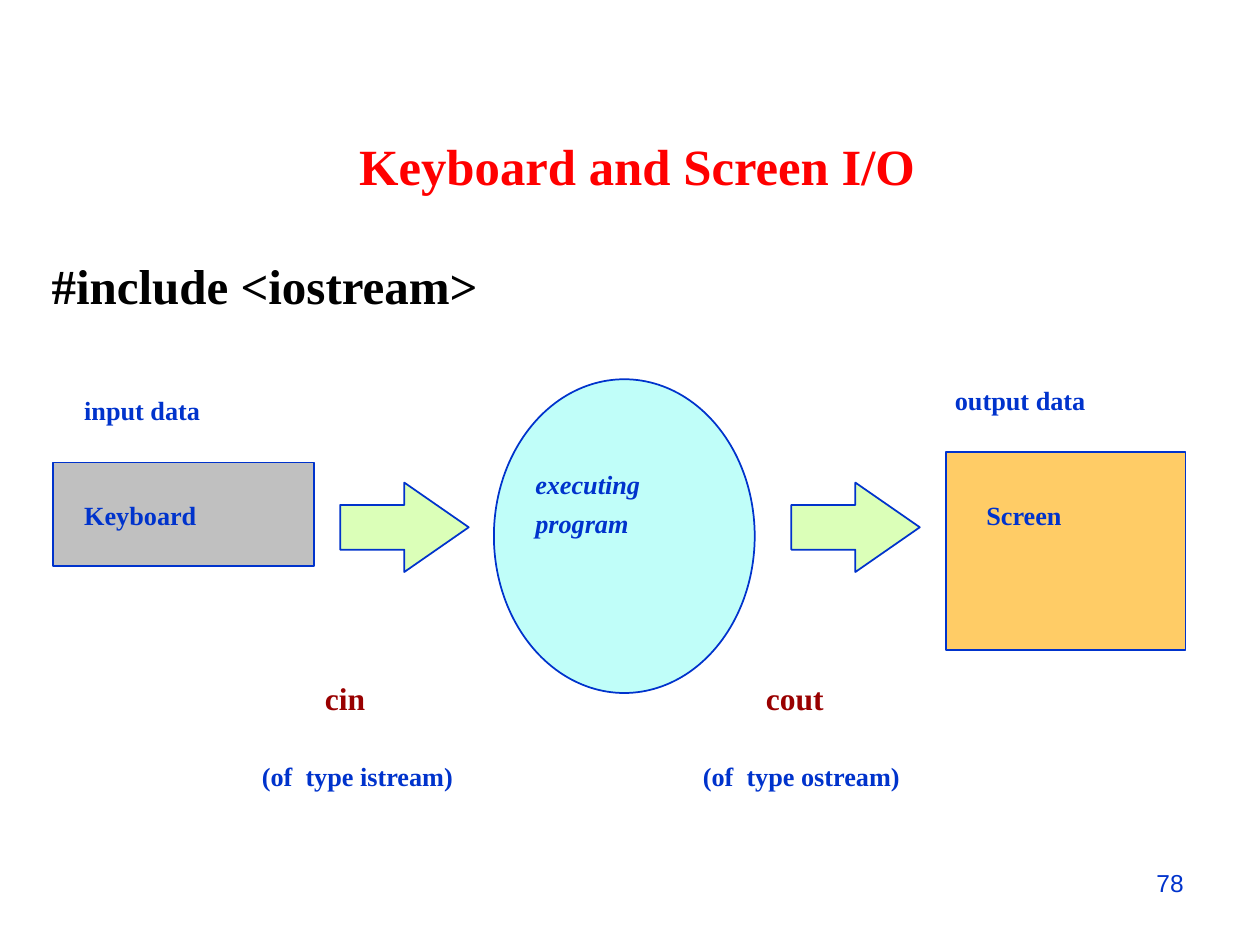
"""Build the slide on keyboard and screen I/O with cin and cout."""
from pptx import Presentation
from pptx.dml.color import RGBColor
from pptx.enum.shapes import MSO_SHAPE
from pptx.enum.text import MSO_ANCHOR, PP_ALIGN
from pptx.util import Inches, Pt

COLORS = {
    "title": "FF0000", "code": "000000", "label": "0033CC", "stream": "990000",
    "program": "C0FEF9", "keyboard": "C0C0C0", "screen": "FFCC66", "arrow": "DBFFB8",
}
DEVICES = [
    (MSO_SHAPE.OVAL, "program", (3.92, 3.01, 2.07, 2.49)),
    (MSO_SHAPE.RECTANGLE, "keyboard", (0.42, 3.67, 2.07, 0.82)),
    (MSO_SHAPE.RECTANGLE, "screen", (7.51, 3.59, 1.9, 1.57)),
]
ARROW_LEFTS = [2.7, 6.28]
LABELS = [
    ("input data", (0.57, 3.08, 1.13, 0.35)),
    ("Keyboard", (0.57, 3.91, 1.1, 0.35)),
    ("output data", (7.48, 3, 1.25, 0.35)),
    ("Screen", (7.73, 3.91, 0.81, 0.35)),
]
STREAMS = [("cin", "(of  type istream)", 1.98), ("cout", "(of  type ostream)", 5.48)]


def color(name):
    return RGBColor.from_string(COLORS[name])


def add_text(text, place, size=15, ink="label", font="Times New Roman", bold=True,
             italic=False, align=PP_ALIGN.LEFT, anchor=MSO_ANCHOR.TOP,
             margins=(0.1, 0.05), gap=0, wrap=False):
    frame = slide.shapes.add_textbox(*map(Inches, place)).text_frame
    frame.word_wrap = wrap
    frame.vertical_anchor = anchor
    frame.margin_left = frame.margin_right = Inches(margins[0])
    frame.margin_top = frame.margin_bottom = Inches(margins[1])
    for number, line in enumerate(text.split("\n")):
        paragraph = frame.add_paragraph() if number else frame.paragraphs[0]
        paragraph.alignment = align
        paragraph.space_before = Pt(gap if number else 0)
        run = paragraph.add_run()
        run.text = line
        run.font.name, run.font.size = font, Pt(size)
        run.font.bold, run.font.italic = bold, italic
        run.font.color.rgb = color(ink)
    return frame


def add_figure(kind, fill, place):
    figure = slide.shapes.add_shape(kind, *map(Inches, place))
    figure.shadow.inherit = False
    figure.fill.solid()
    figure.fill.fore_color.rgb = color(fill)
    figure.line.color.rgb = color("label")
    figure.line.width = Pt(1)
    return figure


deck = Presentation()
deck.slide_width, deck.slide_height = Inches(10), Inches(7.5)
slide = deck.slides.add_slide(deck.slide_layouts[6])

add_text("Keyboard and Screen I/O", (0.81, 0.99, 8.5, 0.62), size=29, ink="title",
         align=PP_ALIGN.CENTER, anchor=MSO_ANCHOR.BOTTOM, margins=(0.13, 0.06), wrap=True)
add_text("#include <iostream>", (0.28, 1.97, 9.5, 1.1), size=28, ink="code",
         margins=(0.13, 0.06), wrap=True)

for stream, stream_type, left in STREAMS:
    caption = add_text(f"{stream}\n{stream_type}", (left, 5.34, 1.78, 1), gap=25, wrap=True)
    name = caption.paragraphs[0]
    name.runs[0].font.size = Pt(18)
    name.runs[0].font.color.rgb = color("stream")
    name._p.get_or_add_pPr().set("marL", str(Inches(0.5)))

for device in DEVICES:
    add_figure(*device)
for left in ARROW_LEFTS:
    arrow = add_figure(MSO_SHAPE.RIGHT_ARROW, "arrow", (left, 3.83, 1.02, 0.71))
    arrow.adjustments[0], arrow.adjustments[1] = 0.5, 0.72

for label, place in LABELS:
    add_text(label, place)
add_text("executing\nprogram", (4.15, 3.67, 1.04, 0.66), italic=True, gap=4)
add_text("78", (9.08, 6.84, 0.54, 0.34), size=14, font="Arial", bold=False, wrap=True)

deck.save("out.pptx")
